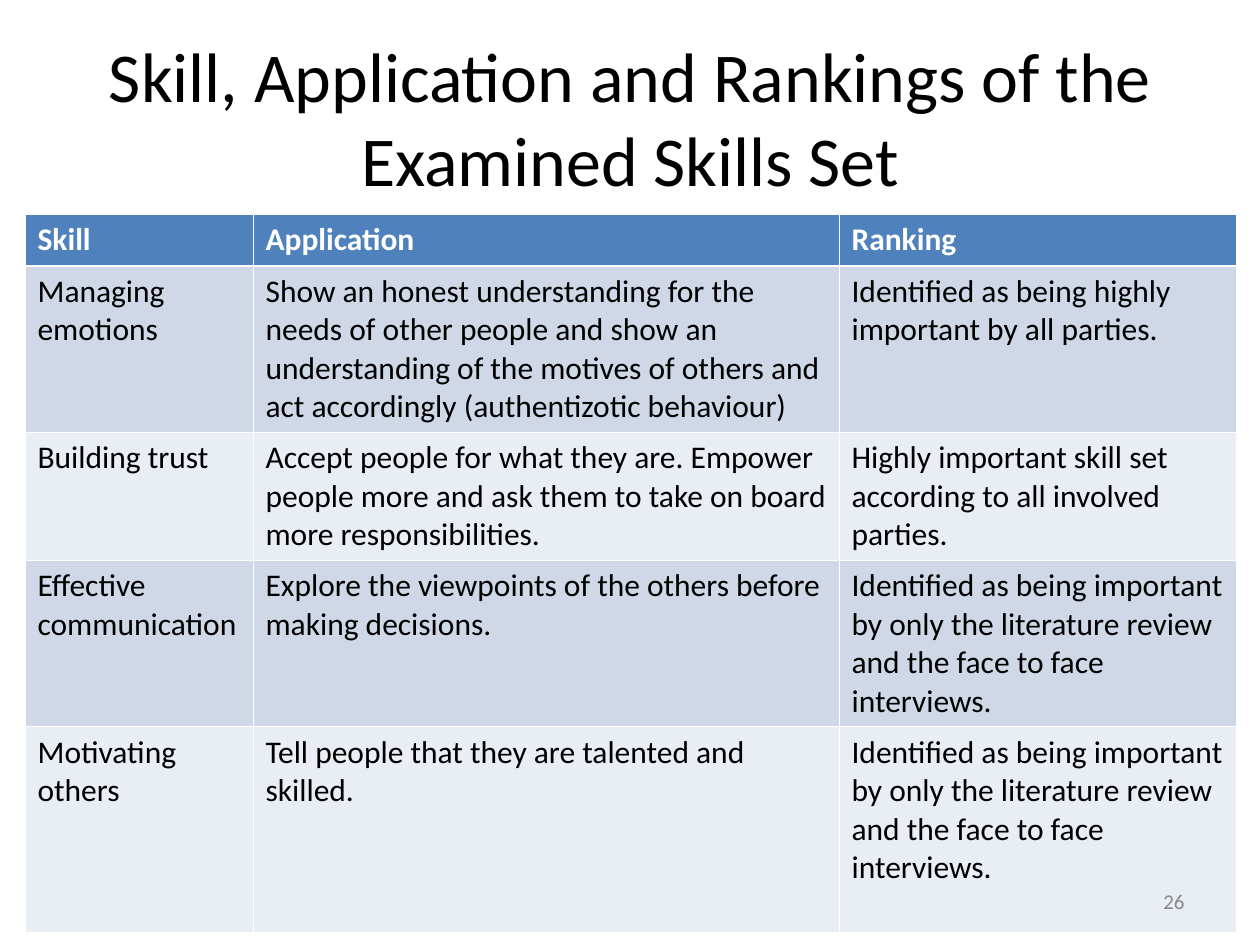
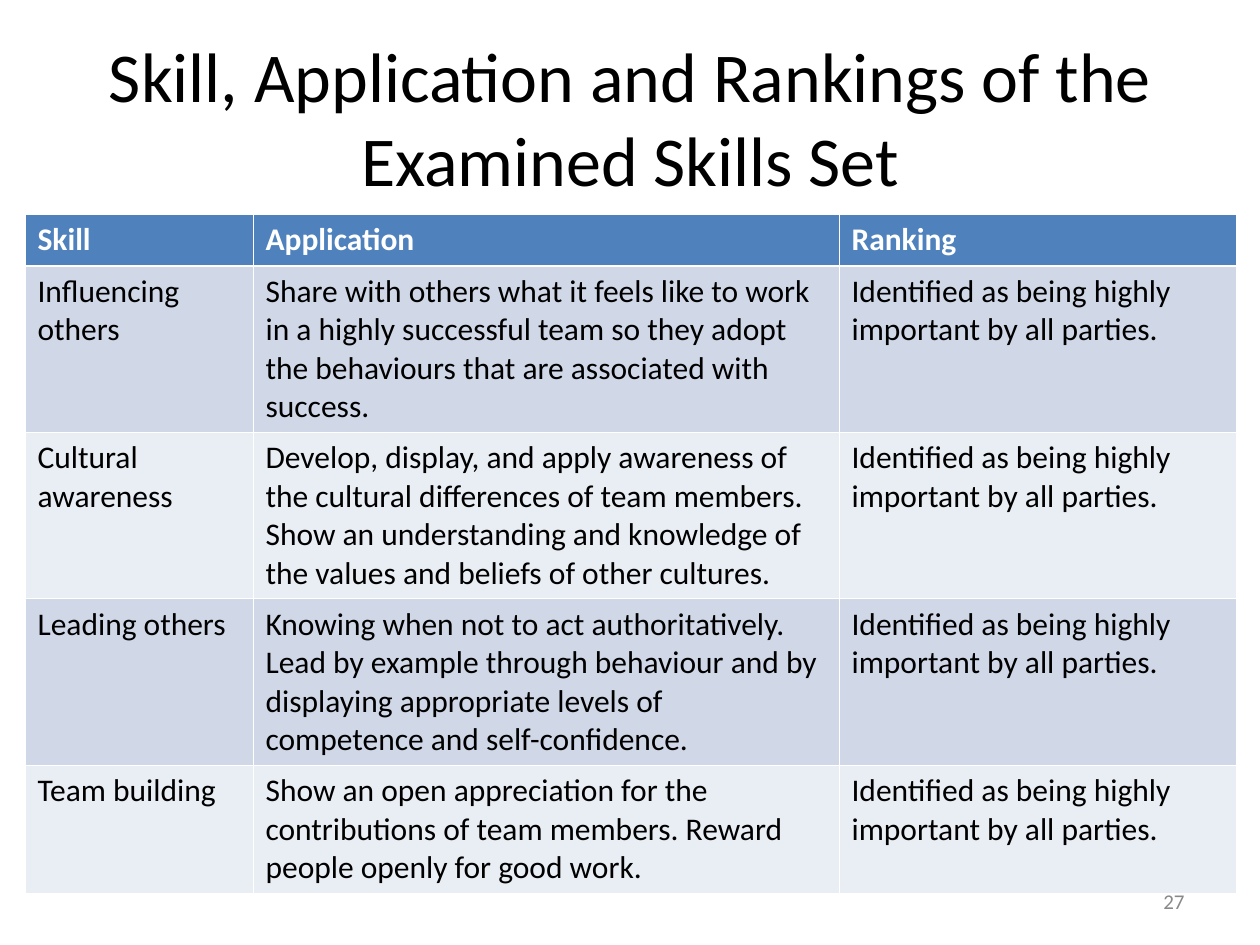
from lxml import etree
from pptx import Presentation
from pptx import util as u
from pptx.dml.color import RGBColor
from pptx.enum import text
from pptx.oxml.ns import qn

BLACK = RGBColor(0x00, 0x00, 0x00)
WHITE = RGBColor(0xFF, 0xFF, 0xFF)
BLUE = RGBColor(0x4F, 0x81, 0xBD)
MIST = RGBColor(0xD0, 0xD8, 0xE8)
PALE = RGBColor(0xE9, 0xED, 0xF4)
GREY = RGBColor(0x89, 0x89, 0x89)

FONT = "Calibri"
THIN, THICK = 0.45, 1.47
TITLE = "Skill, Application and Rankings of the Examined Skills Set"
HEAD = ("Skill", "Application", "Ranking")
COLS = (228, 586, 397)
HIGH = "Identified as being highly important by all parties."
PART = ("Identified as being important by only the literature review "
        "and the face to face interviews.")

PAGES = [
    (26, (52, 166, 128, 166, 206), [
        ("Managing emotions",
         "Show an honest understanding for the needs of other people and show "
         "an understanding of the motives of others and act accordingly "
         "(authentizotic behaviour)", HIGH),
        ("Building trust",
         "Accept people for what they are. Empower people more and ask them "
         "to take on board more responsibilities.",
         "Highly important skill set according to all involved parties."),
        ("Effective communication",
         "Explore the viewpoints of the others before making decisions.", PART),
        ("Motivating others",
         "Tell people that they are talented and skilled.", PART),
    ]),
    (27, (52, 166, 166, 166, 128), [
        ("Influencing others",
         "Share with others what it feels like to work in a highly successful "
         "team so they adopt the behaviours that are associated with success.",
         HIGH),
        ("Cultural awareness",
         "Develop, display, and apply awareness of the cultural differences "
         "of team members. Show an understanding and knowledge of the values "
         "and beliefs of other cultures.", HIGH),
        ("Leading others",
         "Knowing when not to act authoritatively. Lead by example through "
         "behaviour and by displaying appropriate levels of competence and "
         "self-confidence.", HIGH),
        ("Team building",
         "Show an open appreciation for the contributions of team members. "
         "Reward people openly for good work.", HIGH),
    ]),
]


def px(n):
    return u.Inches(n / 126)


def apply(item, form):
    for key, val in form.items():
        setattr(item, key, val)


class Deck:
    def __init__(self):
        self.prs = Presentation()
        apply(self.prs, {"slide_width": px(1260), "slide_height": px(945)})

    def page(self):
        self.slide = self.prs.slides.add_slide(self.prs.slide_layouts[5])

    def label(self, frame, words, size, color, bold=False, align=None):
        frame.text = words
        para = frame.paragraphs[0]
        para.alignment = align
        font = para.runs[0].font
        apply(font, {"name": FONT, "size": u.Pt(size), "bold": bold})
        font.color.rgb = color

    def title(self, words):
        box = self.slide.shapes.title
        apply(box, {"left": px(63), "top": px(38),
                    "width": px(1134), "height": px(157)})
        apply(box.text_frame, {"auto_size": text.MSO_AUTO_SIZE.NONE,
                               "vertical_anchor": text.MSO_ANCHOR.MIDDLE,
                               "word_wrap": True})
        self.label(box.text_frame, words, 40, BLACK,
                   align=text.PP_ALIGN.CENTER)

    def edge(self, cell, row):
        props = cell._tc.get_or_add_tcPr()
        sides = {"lnL": THIN, "lnR": THIN,
                 "lnT": THICK if row == 1 else THIN,
                 "lnB": THICK if row == 0 else THIN}
        for spot, (side, width) in enumerate(sides.items()):
            line = etree.Element(qn("a:" + side), w=str(u.Pt(width)))
            fill = etree.SubElement(line, qn("a:solidFill"))
            etree.SubElement(fill, qn("a:srgbClr"), val=str(WHITE))
            props.insert(spot, line)

    def cell(self, cell, row, words):
        head = row == 0
        cell.fill.solid()
        cell.fill.fore_color.rgb = BLUE if head else MIST if row % 2 else PALE
        self.label(cell.text_frame, words, 18, WHITE if head else BLACK, head)
        self.edge(cell, row)

    def table(self, rows, highs):
        grid = self.slide.shapes.add_table(
            len(rows), len(COLS), px(25), px(214),
            px(sum(COLS)), px(sum(highs))).table
        for col, width in zip(grid.columns, COLS):
            col.width = px(width)
        for r, (row, high) in enumerate(zip(rows, highs)):
            grid.rows[r].height = px(high)
            for c, words in enumerate(row):
                self.cell(grid.cell(r, c), r, words)

    def number(self, num):
        box = self.slide.shapes.add_textbox(px(903), px(876), px(294), px(50))
        apply(box.text_frame, {"word_wrap": True,
                               "vertical_anchor": text.MSO_ANCHOR.MIDDLE})
        self.label(box.text_frame, str(num), 12, GREY,
                   align=text.PP_ALIGN.RIGHT)


def main():
    deck = Deck()
    for num, highs, rows in PAGES:
        deck.page()
        deck.title(TITLE)
        deck.table([HEAD, *rows], highs)
        deck.number(num)
    deck.prs.save("out.pptx")


if __name__ == "__main__":
    main()
